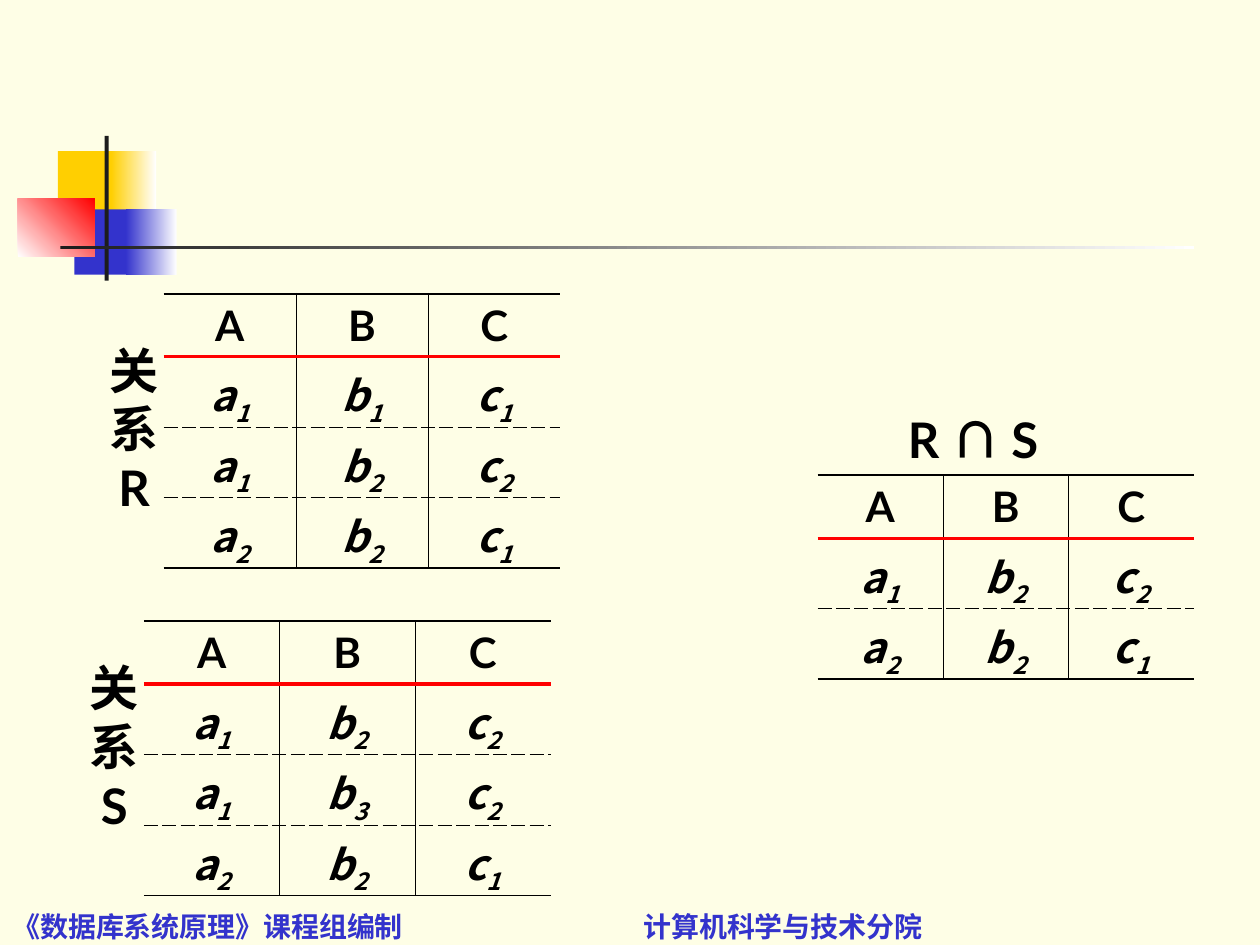
from lxml.etree import SubElement
from pptx import Presentation
from pptx.dml.color import RGBColor
from pptx.enum.shapes import MSO_SHAPE as Shape
from pptx.enum.text import MSO_ANCHOR as Anchor, MSO_AUTO_SIZE as AutoSize, PP_ALIGN as Align
from pptx.oxml.ns import qn
from pptx.util import Cm, Pt

COLORS = {
    "page": "FEFEE6", "white": "FFFFFF", "black": "000000", "ink": "1C1C1C",
    "yellow": "FFCF01", "blue": "3333CC", "red": "FF0000",
}
LATIN, SYMBOL, CHINESE = "Lato", "Noto Sans CJK KR", "Noto Sans CJK SC"

# Motif: left, top, width, height (cm), start colour, end colour, angle
MOTIF = [
    (1.17, 3.05, 1.22, 1.32, "yellow", None, 0),
    (2.24, 3.05, 0.91, 1.32, "yellow", "white", 0),
    (1.5, 4.22, 1.17, 1.32, "blue", None, 0),
    (2.54, 4.22, 1.02, 1.32, "blue", "white", 0),
    (0.36, 4.01, 1.55, 1.17, "white", "red", 45),
    (2.11, 2.74, 0.08, 2.92, "ink", None, 0),
    (1.22, 4.95, 22.86, 0.08, "ink", "white", 0),
]

# Relations: left, top, width (cm) and the subscripts of a, b, c in each row
HEADER = "ABC"
RELATIONS = [
    (3.3, 5.92, 8.0, ["111", "122", "221"]),
    (2.9, 12.52, 8.2, ["122", "132", "221"]),
    (16.48, 9.58, 7.59, ["122", "221"]),
]
HEADER_HEIGHT, ROW_HEIGHT = 1.27, 1.42

# Labels: left, top, width, height (cm), paragraphs of (text, font)
LABELS = [
    (1.7, 6.73, 2.01, 3.81, [[("关系", LATIN)], [("R", LATIN)]]),
    (1.3, 13.13, 2.01, 3.81, [[("关系", LATIN)], [("S", LATIN)]]),
    (17.09, 8.13, 5.05, 1.45, [[("R ", LATIN), ("∩ ", SYMBOL), ("S", LATIN)]]),
]
FOOTER = "《数据库系统原理》课程组编制\t计算机科学与技术分院"
FOOTER_TAB = 12.72

# Borders: colour, width (pt), dash
FRAME = ("black", 1.08, "solid")
COLUMN_LINE = ("black", 0.45, "solid")
ROW_LINE = ("black", 0.45, "dash")
HEADER_LINE = ("red", 2.21, "solid")


def rgb(name):
    return RGBColor.from_string(COLORS[name])


def style_para(para, size, name=LATIN, color="black", italic=False):
    font = para.font
    font.size, font.bold, font.italic, font.name = Pt(size), True, italic, name
    font.color.rgb = rgb(color)
    east_asian = SYMBOL if name == SYMBOL else CHINESE
    SubElement(font._element, qn("a:ea"), typeface=east_asian)


def add_box(page, left, top, width, height):
    box = page.shapes.add_textbox(Cm(left), Cm(top), Cm(width), Cm(height))
    box.text_frame.word_wrap = True
    return box.text_frame


def add_motif_part(page, left, top, width, height, start, end, angle):
    part = page.shapes.add_shape(Shape.RECTANGLE, Cm(left), Cm(top), Cm(width), Cm(height))
    part.shadow.inherit = False
    part.line.fill.background()
    if end is None:
        part.fill.solid()
        part.fill.fore_color.rgb = rgb(start)
        return
    part.fill.gradient()
    part.fill.gradient_angle = angle
    for stop, color in zip(part.fill.gradient_stops, (start, end)):
        stop.color.rgb = rgb(color)


def set_borders(cell, borders):
    properties = cell._tc.get_or_add_tcPr()
    for side, border in zip("LRTB", borders):
        if border is None:
            line = SubElement(properties, qn(f"a:ln{side}"), w="0")
            SubElement(line, qn("a:noFill"))
            continue
        color, width, dash = border
        line = SubElement(properties, qn(f"a:ln{side}"), w=str(Pt(width)))
        fill = SubElement(line, qn("a:solidFill"))
        SubElement(fill, qn("a:srgbClr"), val=COLORS[color])
        SubElement(line, qn("a:prstDash"), val=dash)


def add_relation(page, left, top, width, subscripts):
    row_total, column_total = len(subscripts) + 1, len(HEADER)
    height = HEADER_HEIGHT + ROW_HEIGHT * len(subscripts)
    table = page.shapes.add_table(row_total, column_total, Cm(left), Cm(top),
                                  Cm(width), Cm(height)).table
    table.first_row = table.horz_banding = False
    for column in table.columns:
        column.width = Cm(width / column_total)
    # Horizontal rules from the top edge to the bottom edge
    rules = [FRAME, HEADER_LINE] + [ROW_LINE] * (row_total - 2) + [FRAME]
    for r, row in enumerate(table.rows):
        row.height = Cm(ROW_HEIGHT if r else HEADER_HEIGHT)
        for c, cell in enumerate(row.cells):
            set_borders(cell, (COLUMN_LINE if c else None,
                               COLUMN_LINE if c < column_total - 1 else None,
                               rules[r], rules[r + 1]))
            cell.fill.background()
            para = cell.text_frame.paragraphs[0]
            para.alignment, para.space_before = Align.CENTER, Pt(6)
            style_para(para, 24, SYMBOL if r else LATIN, italic=r > 0)
            para.add_run().text = HEADER[c].lower() if r else HEADER[c]
            if r:
                index = para.add_run()
                index.text = subscripts[r - 1][c]
                index.font._element.set("baseline", "-25000")


def add_label(page, left, top, width, height, lines):
    frame = add_box(page, left, top, width, height)
    frame.auto_size = AutoSize.SHAPE_TO_FIT_TEXT
    for number, line in enumerate(lines):
        para = frame.add_paragraph() if number else frame.paragraphs[0]
        para.alignment = Align.CENTER
        style_para(para, 28)
        for text, name in line:
            span = para.add_run()
            span.text = text
            if name != LATIN:
                span.font.name = name
                SubElement(span.font._element, qn("a:ea"), typeface=name)


def add_footer(page):
    frame = add_box(page, 0, 18.52, 25.4, 0.61)
    frame.vertical_anchor = Anchor.BOTTOM
    para = frame.paragraphs[0]
    para.text = FOOTER
    properties = para._p.get_or_add_pPr()
    tabs = SubElement(properties, qn("a:tabLst"))
    SubElement(tabs, qn("a:tab"), pos=str(Cm(FOOTER_TAB)), algn="l")
    style_para(para, 16, CHINESE, "blue")


def main():
    deck = Presentation()
    deck.slide_width, deck.slide_height = Cm(25.4), Cm(19.05)
    page = deck.slides.add_slide(deck.slide_layouts[6])
    page.background.fill.solid()
    page.background.fill.fore_color.rgb = rgb("page")

    for part in MOTIF:
        add_motif_part(page, *part)
    add_footer(page)
    for relation, label in zip(RELATIONS, LABELS):
        add_relation(page, *relation)
        add_label(page, *label)
    deck.save("out.pptx")


if __name__ == "__main__":
    main()
